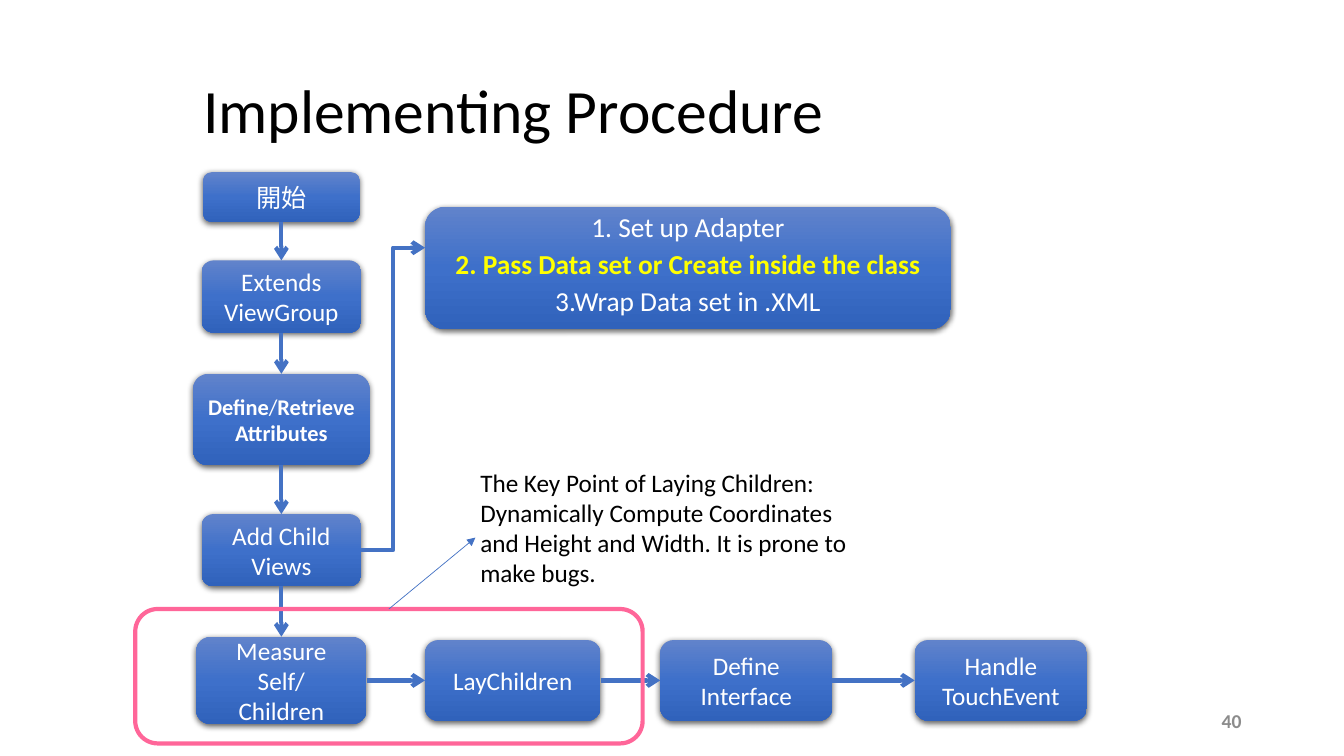
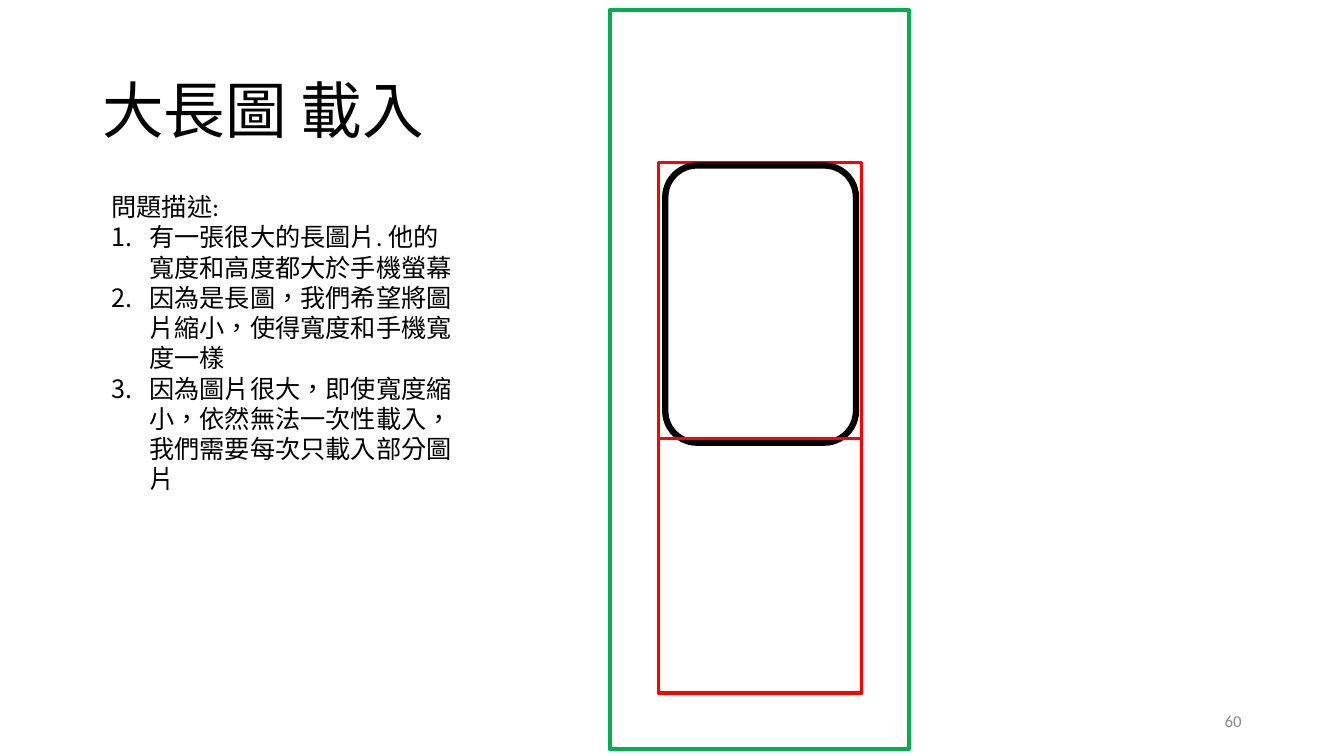
"""Build two slides: a ViewGroup procedure flow and a long-image loading sketch."""
from dataclasses import dataclass
from itertools import pairwise

from lxml import etree
from pptx import Presentation
from pptx.dml.color import RGBColor
from pptx.enum.shapes import MSO_CONNECTOR, MSO_SHAPE
from pptx.enum.text import MSO_ANCHOR, MSO_AUTO_SIZE, PP_ALIGN
from pptx.oxml.ns import qn
from pptx.util import Emu, Pt

STRAIGHT, ELBOW = MSO_CONNECTOR.STRAIGHT, MSO_CONNECTOR.ELBOW
RECT, ROUND = MSO_SHAPE.RECTANGLE, MSO_SHAPE.ROUNDED_RECTANGLE
LEFT, CENTER, RIGHT = PP_ALIGN.LEFT, PP_ALIGN.CENTER, PP_ALIGN.RIGHT
TOP_ANCHOR, MIDDLE = MSO_ANCHOR.TOP, MSO_ANCHOR.MIDDLE
GROW = MSO_AUTO_SIZE.SHAPE_TO_FIT_TEXT
TOP_SITE, LEFT_SITE, BOTTOM_SITE, RIGHT_SITE = range(4)
COLUMNS, ROWS = 160, 90


@dataclass(frozen=True)
class Theme:
    font: str = "Calibri"
    language: str = "zh-TW"
    ink: str = "000000"
    light: str = "FFFFFF"
    muted: str = "8C8C8C"
    accent: str = "4472C4"
    highlight: str = "FFFF00"
    pink: str = "FF6699"
    green: str = "00B050"
    red: str = "FF0000"
    gradient: tuple = ((0, "6183CB"), (50, "3E70CA"), (100, "3062BB"))
    title: float = 44
    body: float = 18
    panel: float = 19.6
    small: float = 16
    number: float = 12


THEME = Theme()


def add_node(parent, tag, **attributes):
    return etree.SubElement(parent, qn(tag), {k: str(v) for k, v in attributes.items()})


def write(tf, paragraphs, size=THEME.body, color=THEME.ink, bold=False, align=LEFT,
          anchor=TOP_ANCHOR, spacing=None, before=None, indent=0, numbered_from=None):
    tf.word_wrap = True
    tf.vertical_anchor = anchor
    for i, runs in enumerate(paragraphs):
        p = tf.add_paragraph() if i else tf.paragraphs[0]
        p.alignment = align
        p.line_spacing = spacing
        if before:
            p.space_before = Pt(before)
        pPr = p._p.get_or_add_pPr()
        numbered = numbered_from is not None and i >= numbered_from
        if numbered:
            hang = Pt(27)
            pPr.set("marL", str(hang))
            pPr.set("indent", str(-hang))
            add_node(pPr, "a:buAutoNum", type="arabicPeriod")
        elif indent:
            pPr.set("marL", str(Pt(indent)))
        for text, change in [(runs, {})] if isinstance(runs, str) else runs:
            r = p.add_run()
            r.text = text
            r.font.name = THEME.font
            r.font.size = Pt(size)
            r.font.bold = change.get("bold", bold)
            r.font.color.rgb = RGBColor.from_string(change.get("color", color))
            if not text.isascii():
                r._r.get_or_add_rPr().set("lang", THEME.language)


class Deck:
    def __init__(self):
        self.prs = Presentation()
        self.prs.slide_width, self.prs.slide_height = Emu(12192000), Emu(6858000)
        self.s = None

    def grid(self, *lengths):
        units = (self.prs.slide_width / COLUMNS, self.prs.slide_height / ROWS)
        return [Emu(round(n * units[i % 2])) for i, n in enumerate(lengths)]

    def slide(self, title, number, title_indent=0, **number_format):
        self.s = self.prs.slides.add_slide(self.prs.slide_layouts[6])
        self.text((11, 4.8, 138, 17.4), [title], size=THEME.title, anchor=MIDDLE,
                  spacing=0.9, indent=title_indent)
        self.text((113, 83.4, 36, 4.8), [str(number)], color=THEME.muted, align=RIGHT,
                  anchor=MIDDLE, **{"size": THEME.number, **number_format})

    def text(self, area, paragraphs, grow=False, **text_format):
        tf = self.s.shapes.add_textbox(*self.grid(*area)).text_frame
        write(tf, paragraphs, **text_format)
        if grow:
            tf.auto_size = GROW

    def frame(self, area, color, width, kind=RECT):
        sp = self.s.shapes.add_shape(kind, *self.grid(*area))
        sp.shadow.inherit = False
        sp.fill.background()
        sp.line.color.rgb = RGBColor.from_string(color)
        sp.line.width = Pt(width)
        return sp

    def box(self, area, paragraphs, **text_format):
        sp = self.s.shapes.add_shape(ROUND, *self.grid(*area))
        sp.line.fill.background()
        sp.fill.gradient()
        sp.fill.gradient_angle = 270
        stops = sp._element.spPr.find(".//" + qn("a:gsLst"))
        for stop in list(stops):
            stops.remove(stop)
        for position, color in THEME.gradient:
            add_node(add_node(stops, "a:gs", pos=position * 1000), "a:srgbClr", val=color)
        sp.shadow.inherit = False
        effects = sp._element.spPr.find(qn("a:effectLst"))
        shadow = add_node(effects, "a:outerShdw", blurRad=Pt(4.5), dist=Pt(1.5),
                          dir=5400000, algn="ctr", rotWithShape=0)
        add_node(add_node(shadow, "a:srgbClr", val=THEME.ink), "a:alpha", val=63000)
        write(sp.text_frame, paragraphs, color=THEME.light, align=CENTER, anchor=MIDDLE,
              **text_format)
        return sp

    def line(self, begin, end, color=THEME.accent, width=3, head="arrow", kind=STRAIGHT):
        joined = [hasattr(point[0], "shape_id") for point in (begin, end)]
        ends = [(0, 0) if j else point for j, point in zip(joined, (begin, end))]
        cx = self.s.shapes.add_connector(kind, *self.grid(*ends[0], *ends[1]))
        if joined[0]:
            cx.begin_connect(*begin)
        if joined[1]:
            cx.end_connect(*end)
        cx.line.color.rgb = RGBColor.from_string(color)
        cx.line.width = Pt(width)
        if head:
            add_node(cx.line._get_or_add_ln(), "a:tailEnd", type=head)
        add_node(cx._element.spPr, "a:effectLst")


def procedure_slide(deck):
    deck.slide("Implementing Procedure", 40, title_indent=72, size=14, bold=True)
    axis_x, axis_y = 33.5, 81
    steps = [
        (["開始"], 20.5, 18.6, 5.9, {}),
        (["Extends", "ViewGroup"], 31, 19, 8.6, {}),
        ([[("Define", {}), ("/", {"bold": False}), ("Retrieve", {})], "Attributes"],
         44.5, 21, 10.9, {"size": THEME.small, "bold": True}),
        (["Add Child Views"], 61.2, 19, 8.6, {}),
        (["Measure", "Self/", "Children"], axis_y - 5.2, 20.3, 10.4, {}),
    ]
    column = [deck.box((axis_x - w / 2, top, w, h), lines, **style)
              for lines, top, w, h, style in steps]
    row = [column[-1]] + [
        deck.box((left, axis_y - 4.8, w, 9.6), [label])
        for label, left, w in (("LayChildren", 50.6, 20.9),
                               ("Define Interface", 78.6, 20.5),
                               ("Handle TouchEvent", 108.9, 20.5))]
    deck.box((50.6, 24.6, 62.6, 14.6),
             ["1. Set up Adapter",
              [("2. Pass Data set or Create inside the class",
                {"color": THEME.highlight, "bold": True})],
              "3.Wrap Data set in .XML"],
             size=THEME.panel, spacing=0.7, before=10)
    for chain, leave, enter in ((column, BOTTOM_SITE, TOP_SITE), (row, RIGHT_SITE, LEFT_SITE)):
        for first, second in pairwise(chain):
            deck.line((first, leave), (second, enter))
    deck.line((column[3], RIGHT_SITE), (50.6, 29.5), kind=ELBOW)
    focus = deck.frame((16.1, 72.5, 60.4, 16), THEME.pink, 3, ROUND)
    deck.line((focus, TOP_SITE), (56.6, 64), width=0.5, head="triangle")
    deck.text((56, 55, 48.4, 15.7),
              ["The Key Point of Laying Children: Dynamically Compute Coordinates "
               "and Height and Width. It is prone to make bugs."], grow=True)


def long_image_slide(deck):
    deck.slide("大長圖 載入", 60)
    deck.frame((72.6, 1.2, 35.6, 88), THEME.green, 3)
    deck.text((12.1, 22.2, 43.4, 37.6),
              ["問題描述:",
               "有一張很大的長圖片. 他的寬度和高度都大於手機螢幕",
               "因為是長圖，我們希望將圖片縮小，使得寬度和手機寬度一樣",
               "因為圖片很大，即使寬度縮小，依然無法一次性載入，我們需要每次只載入部分圖片"],
              grow=True, numbered_from=1)
    left, width, fold = 78.4, 24.2, 52.2
    deck.frame((left, 19.3, width, 63.2), THEME.red, 2.25)
    deck.frame((79.2, 19.7, 22.7, 33), THEME.ink, 4.5, ROUND)
    deck.line((left, fold), (left + width, fold), color=THEME.red, width=2.25, head=None)


def main():
    deck = Deck()
    procedure_slide(deck)
    long_image_slide(deck)
    deck.prs.save("out.pptx")


if __name__ == "__main__":
    main()
